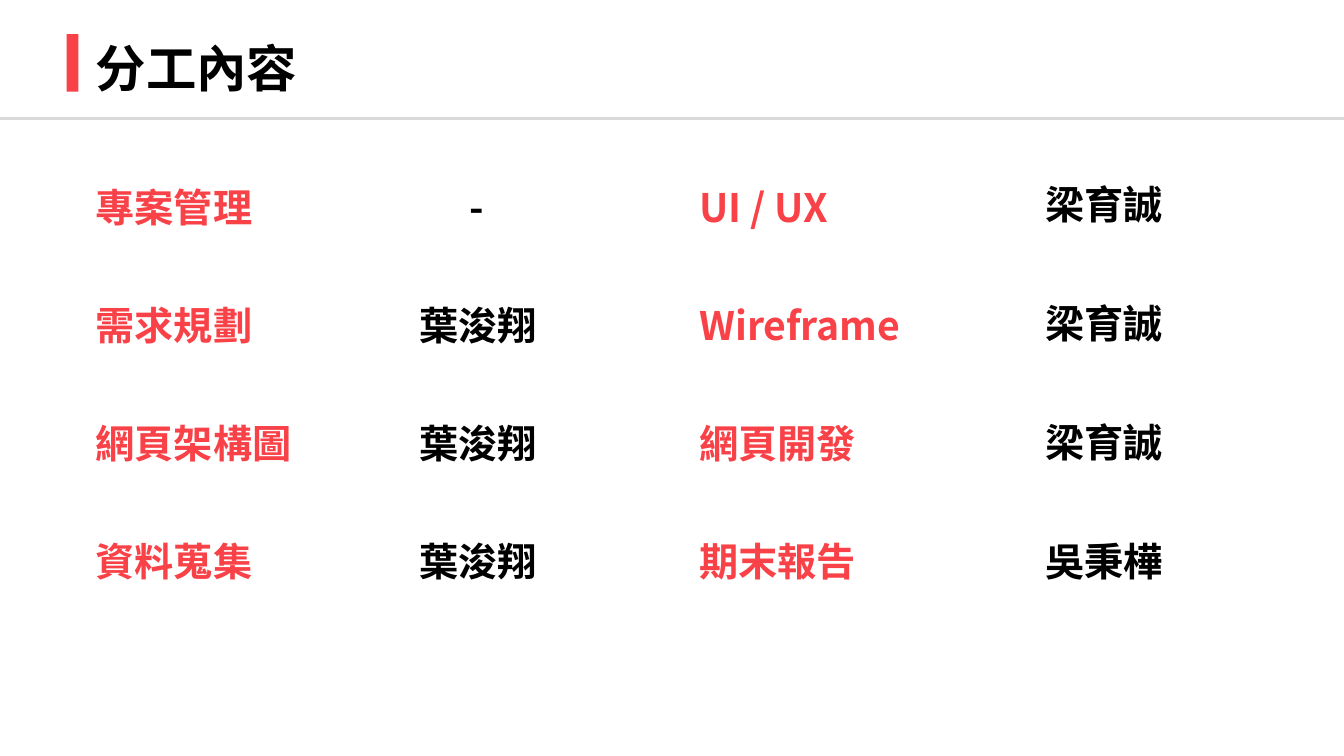
from lxml.etree import SubElement
from pptx import Presentation
from pptx.dml.color import RGBColor
from pptx.enum.shapes import MSO_CONNECTOR, MSO_SHAPE
from pptx.enum.text import MSO_ANCHOR, MSO_AUTO_SIZE, PP_ALIGN
from pptx.oxml.ns import qn
from pptx.util import Pt

# Content
TITLE = "分工內容"
LEFT = [("專案管理", "-"), ("需求規劃", "葉浚翔"),
        ("網頁架構圖", "葉浚翔"), ("資料蒐集", "葉浚翔")]
RIGHT = [("UI / UX", "梁育誠"), ("Wireframe", "梁育誠"),
         ("網頁開發", "梁育誠"), ("期末報告", "吳秉樺")]

# Look
HUES = {"red": "F94248", "black": "000000", "grey": "D9D9D9"}
FACE = "Noto Sans CJK SC"
WIDE, HIGH = 960, 540
# Per half: tasks, task left, name centre, first name top, name step
HALVES = [(LEFT, 61.2, 342.4, 127.4, 84.2),
          (RIGHT, 492.5, 789.5, 125.3, 85)]
TOP, STEP, TALL, TASK_W = 127.4, 84.2, 41.2, 195


def color(name):
    return RGBColor.from_string(HUES[name])


def write(box, text, size, hue):
    frame = box.text_frame
    frame.text = text
    form = {"word_wrap": True, "vertical_anchor": MSO_ANCHOR.TOP,
            "auto_size": MSO_AUTO_SIZE.SHAPE_TO_FIT_TEXT}
    for key, value in form.items():
        setattr(frame, key, value)
    line = frame.paragraphs[0]
    line.alignment = PP_ALIGN.LEFT
    line.line_spacing = 1.0
    run = line.runs[0]
    for key, value in {"name": FACE, "size": Pt(size), "bold": True}.items():
        setattr(run.font, key, value)
    run.font.color.rgb = color(hue)
    # East Asian typeface
    SubElement(run.font._element, qn("a:ea")).set("typeface", FACE)


def label(slide, text, left, top, width, hue):
    box = slide.shapes.add_textbox(Pt(left), Pt(top), Pt(width), Pt(TALL))
    write(box, text, 28, hue)


def main():
    deck = Presentation()
    deck.slide_width, deck.slide_height = Pt(WIDE), Pt(HIGH)
    slide = deck.slides.add_slide(deck.slide_layouts[5])

    # Title with red bar
    bar = slide.shapes.add_shape(MSO_SHAPE.RECTANGLE, Pt(47.5), Pt(24.5), Pt(8.6), Pt(41))
    bar.shadow.inherit = False
    bar.fill.solid()
    bar.fill.fore_color.rgb = color("red")
    bar.line.fill.background()
    head = slide.shapes.title
    spot = {"left": 61.2, "top": 23, "width": 159, "height": 51}
    for key, value in spot.items():
        setattr(head, key, Pt(value))
    write(head, TITLE, 36, "black")

    # Rule under the title
    rule = slide.shapes.add_connector(MSO_CONNECTOR.STRAIGHT, 0, Pt(84.4), Pt(WIDE), Pt(84.4))
    rule.line.color.rgb = color("grey")
    rule.line.width = Pt(2.25)
    SubElement(rule._element.spPr, qn("a:effectLst"))

    # Tasks and the people who do them
    for tasks, left, mid, first, gap in HALVES:
        for row, (task, who) in enumerate(tasks):
            label(slide, task, left, TOP + row * STEP, TASK_W, "red")
            width = 36 * len(who) - 8
            label(slide, who, mid - width / 2, first + row * gap, width, "black")

    deck.save("out.pptx")


if __name__ == "__main__":
    main()
